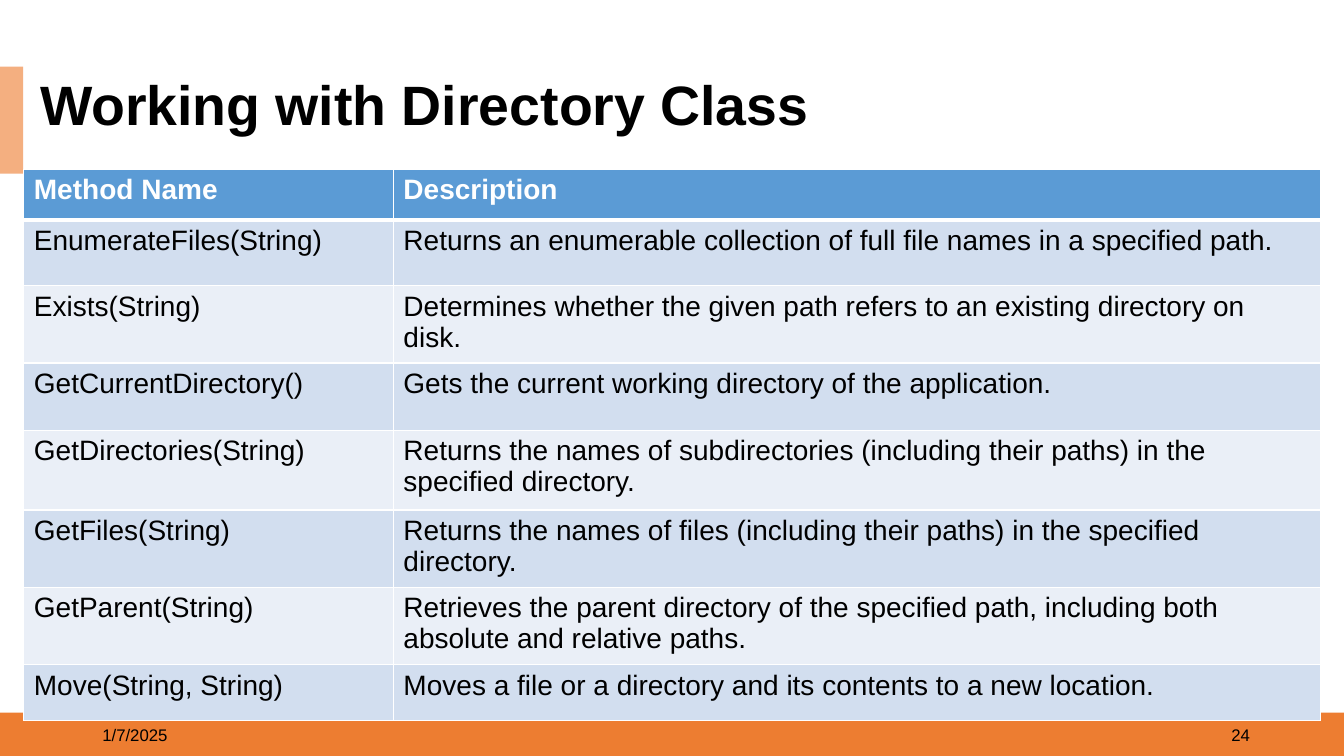
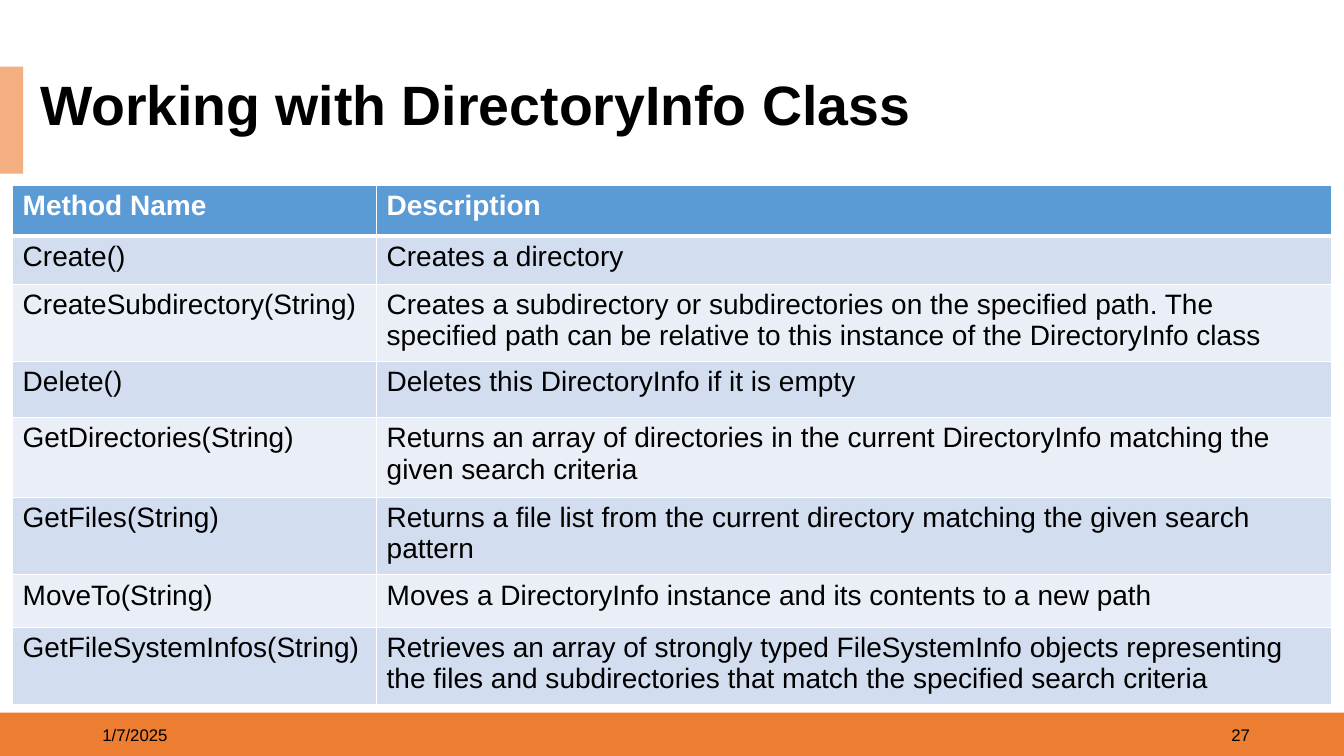
from lxml import etree
from pptx import Presentation
from pptx import util as u
from pptx.dml import color
from pptx.enum import shapes, text
from pptx.oxml import ns

# Shared look
FONT = "Arial"
BLACK, WHITE = "000000", "FFFFFF"
ORANGE, LIGHT_ORANGE = "ED7D31", "F4AF80"
HEADER_BLUE = "5B9BD5"
ROW_FILLS = ("D2DEEF", "EAEFF7")
SLIDE_WIDTH, SLIDE_HEIGHT = 960, 540
BAND_TOP = 509
DATE = "1/7/2025"
HEADINGS = ("Method Name", "Description")

# Slide contents: (method, description, row height)
DIRECTORY_METHODS = [
    ("EnumerateFiles(String)",
     "Returns an enumerable collection of full file names in a specified path.", 47),
    ("Exists(String)",
     "Determines whether the given path refers to an existing directory on disk.", 47),
    ("GetCurrentDirectory()",
     "Gets the current working directory of the application.", 48),
    ("GetDirectories(String)",
     "Returns the names of subdirectories (including their paths) in the specified directory.", 57),
    ("GetFiles(String)",
     "Returns the names of files (including their paths) in the specified directory.", 48),
    ("GetParent(String)",
     "Retrieves the parent directory of the specified path, including both absolute and relative paths.", 44),
    ("Move(String, String)",
     "Moves a file or a directory and its contents to a new location.", 40),
]
DIRECTORY_INFO_METHODS = [
    ("Create()", "Creates a directory", 34.5),
    ("CreateSubdirectory(String)",
     "Creates a subdirectory or subdirectories on the specified path. The specified path can be "
     "relative to this instance of the DirectoryInfo class", 47),
    ("Delete()", "Deletes this DirectoryInfo if it is empty", 40),
    ("GetDirectories(String)",
     "Returns an array of directories in the current DirectoryInfo matching the given search criteria", 57),
    ("GetFiles(String)",
     "Returns a file list from the current directory matching the given search pattern", 48),
    ("MoveTo(String)",
     "Moves a DirectoryInfo instance and its contents to a new path", 37.5),
    ("GetFileSystemInfos(String)",
     "Retrieves an array of strongly typed FileSystemInfo objects representing the files and "
     "subdirectories that match the specified search criteria", 40),
]


def rgb(value):
    return color.RGBColor.from_string(value)


def write(frame, words, size=20, fill=BLACK, bold=False, align=text.PP_ALIGN.LEFT,
          line_spacing=1.0, space=0):
    """Put one formatted paragraph in a text frame."""
    paragraph = frame.paragraphs[0]
    paragraph.alignment = align
    paragraph.line_spacing = line_spacing
    paragraph.space_before = paragraph.space_after = u.Pt(space)
    run = paragraph.add_run()
    run.text = words
    run.font.name = FONT
    run.font.size = u.Pt(size)
    run.font.bold = bold
    run.font.color.rgb = rgb(fill)


def add_text(slide, words, left, top, width, height, **style):
    frame = slide.shapes.add_textbox(*map(u.Pt, (left, top, width, height))).text_frame
    frame.word_wrap = True
    frame.vertical_anchor = text.MSO_ANCHOR.MIDDLE
    write(frame, words, **style)


def add_band(slide, left, top, width, height, fill):
    shape = slide.shapes.add_shape(shapes.MSO_SHAPE.RECTANGLE,
                                   *map(u.Pt, (left, top, width, height)))
    shape.shadow.inherit = False
    shape.fill.solid()
    shape.fill.fore_color.rgb = rgb(fill)
    shape.line.fill.background()


def set_borders(cell, top=1, bottom=1):
    """White cell borders; the line elements must precede the fill."""
    properties = cell._tc.get_or_add_tcPr()
    widths = {"a:lnL": 1, "a:lnR": 1, "a:lnT": top, "a:lnB": bottom}
    for position, (tag, width) in enumerate(widths.items()):
        line = etree.Element(ns.qn(tag), w=str(u.Pt(width)))
        solid = etree.SubElement(line, ns.qn("a:solidFill"))
        etree.SubElement(solid, ns.qn("a:srgbClr"), val=WHITE)
        properties.insert(position, line)


def add_method_table(slide, methods, left, top, column_widths):
    rows = [(*HEADINGS, 36), *methods]
    height = sum(row[-1] for row in rows)
    table = slide.shapes.add_table(
        len(rows), len(column_widths),
        *map(u.Pt, (left, top, sum(column_widths), height))).table
    for column, width in zip(table.columns, column_widths):
        column.width = u.Pt(width)
    for index, (*words, row_height) in enumerate(rows):
        table.rows[index].height = u.Pt(row_height)
        header = index == 0
        for cell, content in zip(table.rows[index].cells, words):
            cell.fill.solid()
            cell.fill.fore_color.rgb = rgb(HEADER_BLUE if header else ROW_FILLS[(index - 1) % 2])
            set_borders(cell, top=3 if index == 1 else 1, bottom=3 if header else 1)
            write(cell.text_frame, content, bold=header,
                  fill=WHITE if header else BLACK, space=6 if header else 0)


def add_slide(presentation, title, number):
    """Blank slide with the shared bands, footer and title."""
    slide = presentation.slides.add_slide(presentation.slide_layouts[6])
    add_band(slide, 0, BAND_TOP, SLIDE_WIDTH, SLIDE_HEIGHT - BAND_TOP, ORANGE)
    add_band(slide, 0, 47.5, 16.5, 76.5, LIGHT_ORANGE)
    add_text(slide, DATE, 66, 510.5, 216, 29, size=12)
    add_text(slide, str(number), 684, 510.5, 216, 29, size=12, align=text.PP_ALIGN.RIGHT)
    add_text(slide, title, 21.5, 54, 650, 45, size=39.6, bold=True, line_spacing=0.9)
    return slide


def main():
    presentation = Presentation()
    presentation.slide_width = u.Pt(SLIDE_WIDTH)
    presentation.slide_height = u.Pt(SLIDE_HEIGHT)

    # Directory
    slide = add_slide(presentation, "Working with Directory Class", 24)
    add_method_table(slide, DIRECTORY_METHODS, 17, 121, (264, 662))

    # DirectoryInfo
    slide = add_slide(presentation, "Working with DirectoryInfo Class", 27)
    add_method_table(slide, DIRECTORY_INFO_METHODS, 9, 132.5, (260, 682))

    presentation.save("out.pptx")


if __name__ == "__main__":
    main()
